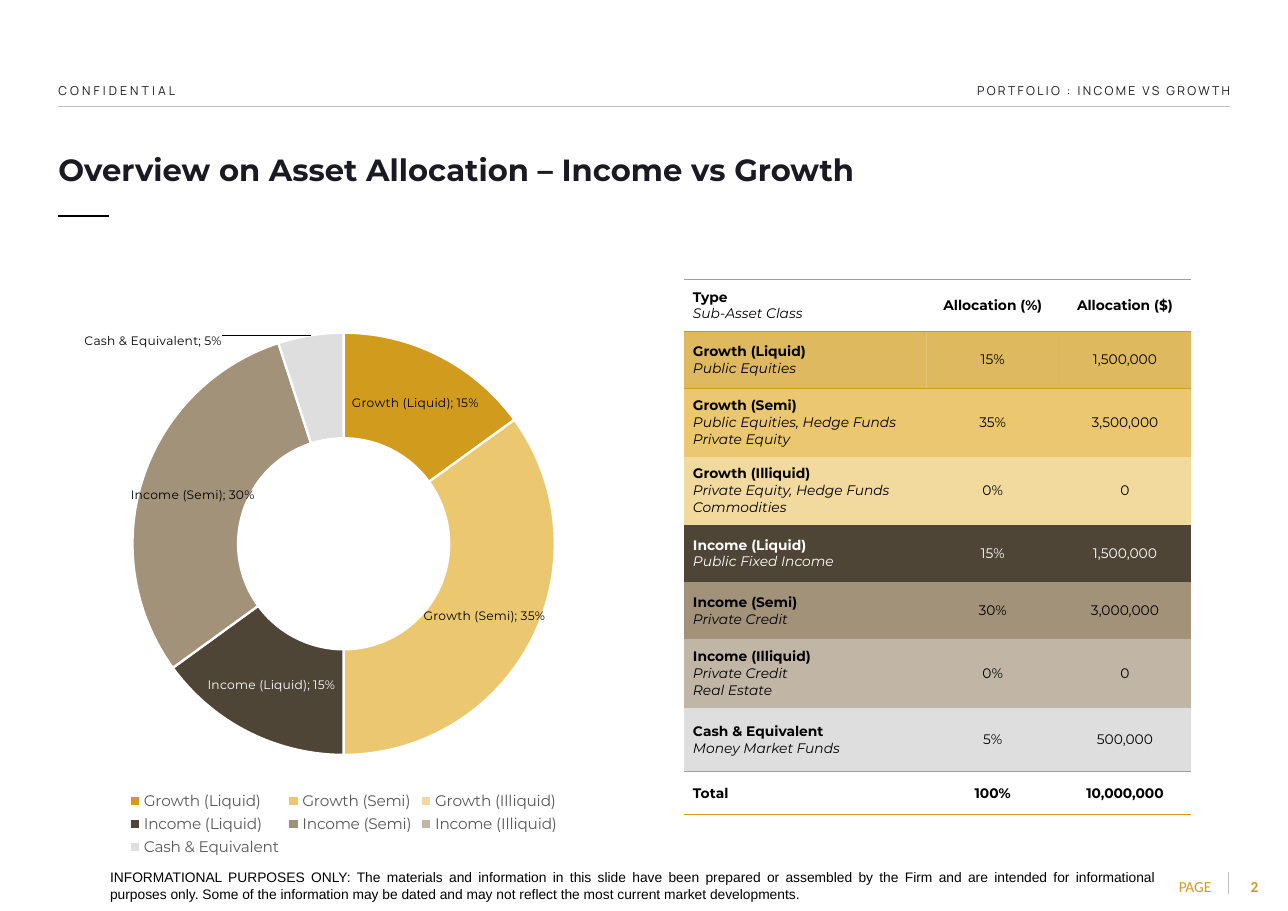
from copy import deepcopy
from dataclasses import dataclass

from pptx import Presentation
from pptx.chart.data import CategoryChartData
from pptx.dml.color import RGBColor
from pptx.enum.chart import XL_CHART_TYPE as ChartType, XL_LEGEND_POSITION as LegendPosition
from pptx.enum.shapes import MSO_CONNECTOR as Connector
from pptx.enum.text import MSO_ANCHOR as Anchor, MSO_AUTO_SIZE as AutoSize, PP_ALIGN as Align
from pptx.oxml import parse_xml
from pptx.oxml.ns import nsdecls, qn
from pptx.util import Emu, Inches, Pt

TITLE = "Overview on Asset Allocation – Income vs Growth"
NOTE = (
    "INFORMATIONAL PURPOSES ONLY: The materials and information in this slide have been prepared "
    "or assembled by the Firm and are intended for informational purposes only. Some of the "
    "information may be dated and may not reflect the most current market developments."
)
HEADER = (["Type", "Sub-Asset Class"], "Allocation (%)", "Allocation ($)")
ASSETS = [
    ("Growth (Liquid)", ["Public Equities"], 0.15, "1,500,000", "D19C1D"),
    ("Growth (Semi)", ["Public Equities, Hedge Funds", "Private Equity"], 0.35, "3,500,000", "EBC770"),
    ("Growth (Illiquid)", ["Private Equity, Hedge Funds", "Commodities"], None, "0", "F2DA9F"),
    ("Income (Liquid)", ["Public Fixed Income"], 0.15, "1,500,000", "4F4537"),
    ("Income (Semi)", ["Private Credit"], 0.3, "3,000,000", "A2927A"),
    ("Income (Illiquid)", ["Private Credit", "Real Estate"], None, "0", "C1B6A6"),
    ("Cash & Equivalent", ["Money Market Funds"], 0.05, "500,000", "DEDEDE"),
]
TOTAL = (["Total"], "100%", "10,000,000")
DARK_ASSET = "Income (Liquid)"
OUTSIDE_LABEL = ("Cash & Equivalent", -0.29, -0.08)
COLUMN_SHARES = (22, 12, 12)
ROW_SHARES = (43, 52, 58, 58, 52, 52, 58, 58, 39)
PLOT_AREA = {"x": 0.13, "y": 0.09, "w": 0.74, "h": 0.73}
NO_TABLE_STYLE = "{2D5ABB26-0587-4C30-8999-92F81FD0307C}"

LEFT, RIGHT, CONTENT_TOP, FOOT_TOP = 4.53, 95.47, 30.71, 96.13


@dataclass(frozen=True)
class Theme:
    ink: str = "1A1A22"
    black: str = "000000"
    white: str = "FFFFFF"
    gold: str = "D19C1D"
    rule: str = "BFBFBF"
    border: str = "A0A0A0"
    legend: str = "595959"
    body: str = "Montserrat"
    header: str = "Manrope"
    footer: str = "Calibri"
    note: str = "Arial"
    title_size: float = 20
    large: float = 10
    regular: float = 9
    small: float = 8


theme = Theme()
deck = Presentation()
deck.slide_width, deck.slide_height = Inches(11.69), Inches(8.27)
page = deck.slides.add_slide(deck.slide_layouts[5])


def across(percent):
    return Emu(round(deck.slide_width * percent / 100))


def down(percent):
    return Emu(round(deck.slide_height * percent / 100))


def area(left, top, width, height):
    return across(left), down(top), across(width), down(height)


def style_font(font, size, color=theme.black, name=theme.body, bold=False, italic=False):
    font.size, font.name, font.bold, font.italic = Pt(size), name, bold, italic
    font.color.rgb = RGBColor.from_string(color)


def write(para, text, align=Align.LEFT, spacing=None, tracking=0, **font):
    para.alignment = align
    if spacing:
        para.line_spacing = spacing
    span = para.add_run()
    span.text = text
    style_font(span.font, **font)
    if tracking:
        span.font._element.set("spc", str(round(tracking * 100)))


def frame_text(box, text, anchor=Anchor.MIDDLE, insets=(0, 0, 0, 0), wrap=True, **style):
    frame = box.text_frame
    frame.auto_size, frame.word_wrap, frame.vertical_anchor = AutoSize.NONE, wrap, anchor
    (frame.margin_left, frame.margin_top,
     frame.margin_right, frame.margin_bottom) = map(Inches, insets)
    write(frame.paragraphs[0], text, **style)


def add_text(text, place, **style):
    frame_text(page.shapes.add_textbox(*area(*place)), text, **style)


def add_rule(x1, y1, x2, y2, color, width):
    rule = page.shapes.add_connector(Connector.STRAIGHT, across(x1), down(y1), across(x2), down(y2))
    rule.line.color.rgb, rule.line.width = RGBColor.from_string(color), Pt(width)
    rule._element.spPr.append(parse_xml(f"<a:effectLst {nsdecls('a')}/>"))


def add_border(cell, side, color):
    edge = parse_xml(
        f'<a:{side} {nsdecls("a")} w="12700"><a:solidFill><a:srgbClr val="{color}"/>'
        f'</a:solidFill><a:prstDash val="solid"/></a:{side}>'
    )
    properties = cell._tc.get_or_add_tcPr()
    position = sum(child.tag in (qn("a:lnT"), qn("a:lnB")) for child in properties)
    properties.insert(position, edge)


def fill_cell(cell, lines, align, bold_lines, color, fill, opacity, inset):
    cell.vertical_anchor = Anchor.MIDDLE
    cell.margin_left = cell.margin_right = cell.margin_top = cell.margin_bottom = Inches(inset)
    for index, line in enumerate(lines):
        para = cell.text_frame.paragraphs[0] if index == 0 else cell.text_frame.add_paragraph()
        write(para, line, align=align, size=theme.regular, color=color,
              bold=index < bold_lines, italic=index > 0)
    if fill is None:
        cell.fill.background()
        return
    cell.fill.solid()
    cell.fill.fore_color.rgb = RGBColor.from_string(fill)
    if opacity < 100:
        tint = cell._tc.tcPr.find(".//" + qn("a:solidFill") + "/" + qn("a:srgbClr"))
        tint.append(parse_xml(f'<a:alpha {nsdecls("a")} val="{opacity * 1000}"/>'))


def add_allocation_table():
    rows = [(*HEADER, None)]
    rows += [([name, *classes], f"{share or 0:.0%}", amount, color)
             for name, classes, share, amount, color in ASSETS]
    rows.append((*TOTAL, None))
    place = area(53.12, CONTENT_TOP, 39.35, 56.83)
    table = page.shapes.add_table(len(rows), len(COLUMN_SHARES), *place).table
    table.first_row = table.horz_banding = False
    table._tbl.tblPr.find(qn("a:tableStyleId")).text = NO_TABLE_STYLE
    for column, share in zip(table.columns, COLUMN_SHARES):
        column.width = Emu(round(place[2] * share / sum(COLUMN_SHARES)))
    for row, share in zip(table.rows, ROW_SHARES):
        row.height = Emu(round(place[3] * share / sum(ROW_SHARES)))
    for r, (types, percent, amount, fill) in enumerate(rows):
        for c, lines in enumerate((types, [percent], [amount])):
            cell = table.cell(r, c)
            fill_cell(
                cell, lines, fill=fill,
                align=Align.CENTER if c else Align.LEFT,
                bold_lines=1 if c == 0 or fill is None else 0,
                color=theme.white if types[0] == DARK_ASSET else theme.black,
                opacity=70 if fill == theme.gold else 100,
                inset=0 if c and fill else 0.08,
            )
            if fill is None:
                add_border(cell, "lnT", theme.border)
                add_border(cell, "lnB", theme.gold)
            elif r == 1:
                add_border(cell, "lnT", theme.gold)
            elif r == len(ASSETS):
                add_border(cell, "lnB", theme.border)


def manual_layout(target, **shares):
    parts = "".join(f'<c:{key} val="{value}"/>' for key, value in shares.items())
    inner = f"{target}<c:xMode val='edge'/><c:yMode val='edge'/>" if target else ""
    return parse_xml(f"<c:layout {nsdecls('c')}><c:manualLayout>{inner}{parts}</c:manualLayout></c:layout>")


def add_point_label(labels, index, layout=None):
    label = parse_xml(f'<c:dLbl {nsdecls("c")}><c:idx val="{index}"/></c:dLbl>')
    if layout is not None:
        label.append(layout)
    for child in labels:
        if child.tag not in (qn("c:dLbl"), qn("c:showLeaderLines")):
            label.append(deepcopy(child))
    labels.insert(len(labels.findall(qn("c:dLbl"))), label)


def add_allocation_chart():
    names = [asset[0] for asset in ASSETS]
    data = CategoryChartData(number_format="0%")
    data.categories = names
    data.add_series("Series 1", [asset[2] for asset in ASSETS])
    chart = page.shapes.add_chart(ChartType.DOUGHNUT, *area(LEFT, CONTENT_TOP, 44.31, 63.72), data).chart
    chart.has_title = False
    style_font(chart.font, theme.large)
    chart.has_legend = True
    chart.legend.position, chart.legend.include_in_layout = LegendPosition.BOTTOM, False
    style_font(chart.legend.font, theme.large, theme.legend)

    plot_area = chart._chartSpace.chart.plotArea
    for layout in plot_area.findall(qn("c:layout")):
        plot_area.remove(layout)
    plot_area.insert(0, manual_layout('<c:layoutTarget val="inner"/>', **PLOT_AREA))
    plot = chart.plots[0]
    plot.vary_by_categories = True
    plot_area.find(".//" + qn("c:holeSize")).set("val", "60")

    series = plot.series[0]
    for index, asset in enumerate(ASSETS):
        slice_format = series.points[index].format
        slice_format.fill.solid()
        slice_format.fill.fore_color.rgb = RGBColor.from_string(asset[-1])
        slice_format.line.color.rgb, slice_format.line.width = RGBColor.from_string(theme.white), Pt(1.5)

    labels = series.data_labels
    labels.show_value = labels.show_category_name = True
    labels.number_format, labels.number_format_is_linked = "0%", False
    style_font(labels.font, theme.small)
    element = labels._element
    element.find(qn("c:showBubbleSize")).addnext(
        parse_xml(f"<c:separator {nsdecls('c')}>; </c:separator>"))
    dark = names.index(DARK_ASSET)
    add_point_label(element, dark)
    series.points[dark].data_label.font.color.rgb = RGBColor.from_string(theme.white)
    name, shift_x, shift_y = OUTSIDE_LABEL
    add_point_label(element, names.index(name), manual_layout("", x=shift_x, y=shift_y))


add_rule(LEFT, 11.73, RIGHT, 11.73, theme.rule, 0.5)
add_rule(95.38, 95.77, 95.38, 98.19, theme.rule, 0.5)
add_rule(LEFT, 23.7, 8.47, 23.7, theme.black, 1)

title = page.shapes.title
title.left, title.top, title.width, title.height = area(LEFT, 14.03, RIGHT - LEFT, 6.65)
frame_text(title, TITLE, size=theme.title_size, color=theme.ink, bold=True, spacing=1.62)

running_head = dict(anchor=Anchor.BOTTOM, insets=(0, 0, 0, 0.03),
                    size=theme.small, color=theme.ink, name=theme.header)
add_text("CONFIDENTIAL", (LEFT, 8.83, 45.51, 2.3), tracking=2, **running_head)
add_text("PORTFOLIO : INCOME VS GROWTH", (50.04, 8.83, 45.51, 2.3),
         align=Align.RIGHT, tracking=1.5, **running_head)

add_allocation_table()
add_allocation_chart()

add_text(NOTE, (8.55, 95.41, 81.09, 3.63), anchor=Anchor.TOP, align=Align.JUSTIFY,
         size=theme.regular, name=theme.note)
folio = dict(insets=(0, 0, 0.1, 0), wrap=False, size=theme.large, color=theme.gold, name=theme.footer)
add_text("PAGE", (90.68, FOOT_TOP, 5.05, 2.3), align=Align.CENTER, **folio)
add_text("2", (95.64, FOOT_TOP, 2.91, 2.3), align=Align.RIGHT, bold=True, **folio)

deck.save("out.pptx")
